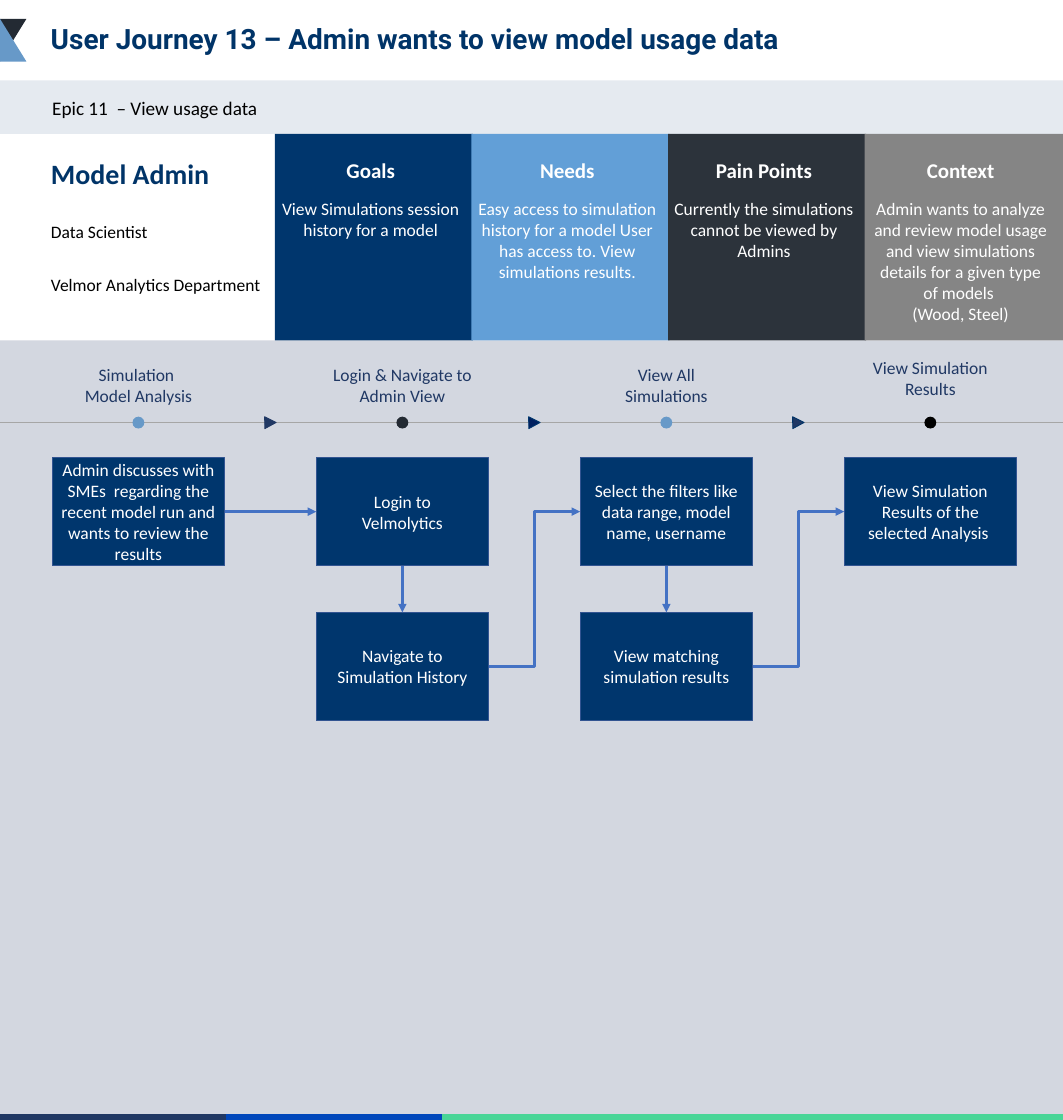
import pptx
import pptx.util
import pptx.dml.color
import pptx.enum.shapes
import pptx.enum.text
import pptx.oxml.ns
from lxml import etree

Cm, Pt = pptx.util.Cm, pptx.util.Pt
KIND = pptx.enum.shapes.MSO_SHAPE
LINK = pptx.enum.shapes.MSO_CONNECTOR
ALIGN = pptx.enum.text.PP_ALIGN
ANCHOR = pptx.enum.text.MSO_ANCHOR

INCH = 2.54
WIDE, HIGH = 16.9 * INCH, 17.8 * INCH
NAVY, INK, BLUE, DEEP = "00366D", "232A33", "6799C8", "203864"
WHITE, BLACK, TITLE = "FFFFFF", "000000", "003468"

HEAD = "User Journey 13 – Admin wants to view model usage data"
EPIC = "Epic 11  – View usage data"
ROLE = ["Model Admin", "Data Scientist", "Velmor Analytics Department"]
PANELS = [
    ("Goals", "View Simulations session history for a model", NAVY),
    ("Needs", "Easy access to simulation history for a model User "
     "has access to. View simulations results.", "629FD7"),
    ("Pain Points", "Currently the simulations cannot be viewed by Admins",
     "2C333B"),
    ("Context", "Admin wants to analyze and review model usage and view "
     "simulations details for a given type of models \v(Wood, Steel)",
     "858585"),
]
# label, label width, label top, dot colour, boxes from top to bottom
STAGES = [
    ("Simulation \vModel Analysis", 7.62, 14.58, BLUE,
     ["Admin discusses with SMEs  regarding the recent model run "
      "and wants to review the results"]),
    ("Login & Navigate to Admin View", 6.12, 14.58, INK,
     ["Login to\nVelmolytics", "Navigate to\nSimulation History"]),
    ("View All Simulations", 5.61, 14.58, BLUE,
     ["Select the filters like data range, model name, username",
      "View matching simulation results"]),
    ("View Simulation Results", 4.9, 14.3, BLACK,
     ["View Simulation Results of the selected Analysis "]),
]
MARKS = [(DEEP, DEEP), ("002060", NAVY), (DEEP, TITLE)]  # fill, line
STRIPES = [(0, 9.16, DEEP), (9.16, 17.85, "0047BB"), (17.85, WIDE, "48D597")]

PANEL_X, PANEL_W, PANEL_Y, PANEL_H = 11.1, 7.94, 5.41, 8.33
BOX_X, BOX_Y, BOX_W, BOX_H = 2.11, 18.47, 6.96, 4.37
STEP_X, STEP_Y, AXIS_Y = 10.66, 6.25, 17.06

deck = pptx.Presentation()
deck.slide_width, deck.slide_height = Cm(WIDE), Cm(HIGH)
page = deck.slides.add_slide(deck.slide_layouts[6])


def tint(hue):
    return pptx.dml.color.RGBColor.from_string(hue)


def draw(kind, x, y, w, h, fill, line=None):
    item = page.shapes.add_shape(kind, Cm(x), Cm(y), Cm(w), Cm(h))
    item.shadow.inherit = False
    item.fill.solid()
    item.fill.fore_color.rgb = tint(fill)
    if line:
        item.line.color.rgb = tint(line)
        item.line.width = Pt(1)
    else:
        item.line.fill.background()
    return item


def write(item, text, size, hue, bold=False, font="Calibri",
          align=ALIGN.CENTER, anchor=ANCHOR.TOP, side=0, edge=0):
    """Set text in a shape; side and edge are its inner margins in cm."""
    frame = item.text_frame
    frame.word_wrap = True
    frame.vertical_anchor = anchor
    frame.margin_left = frame.margin_right = Cm(side)
    frame.margin_top = frame.margin_bottom = Cm(edge)
    frame.text = text
    for para in frame.paragraphs:
        para.alignment = align
        for run in para.runs:
            run.font.name, run.font.size, run.font.bold = font, Pt(size), bold
            run.font.color.rgb = tint(hue)
    return frame


def label(x, y, w, h, *args, **opts):
    item = page.shapes.add_textbox(Cm(x), Cm(y), Cm(w), Cm(h))
    return write(item, *args, **opts)


def rule(kind, ends, hue, width):
    line = page.shapes.add_connector(kind, *[Cm(v) for v in ends])
    line.line.color.rgb = tint(hue)
    line.line.width = Pt(width)
    etree.SubElement(line._element.spPr, pptx.oxml.ns.qn("a:effectLst"))
    return line


def join(kind, start, out, stop, into):
    line = rule(kind, (0, 0, 1, 1), "4472C4", 3.25)
    line.begin_connect(start, out)
    line.end_connect(stop, into)
    tail = etree.SubElement(line.line._get_or_add_ln(),
                            pptx.oxml.ns.qn("a:tailEnd"))
    tail.set("type", "triangle")


# Bands, corner mark and foot stripes
base = PANEL_Y + PANEL_H
draw(KIND.RECTANGLE, 0, base, WIDE, HIGH - base, "D3D7E0")
draw(KIND.RECTANGLE, 0, 3.25, WIDE, PANEL_Y - 3.25, "E5EAF0")
flag = draw(KIND.RIGHT_TRIANGLE, 0, 0.76, 1.07, 1.73, INK)
flag._element.spPr.find(pptx.oxml.ns.qn("a:xfrm")).set("flipV", "1")
draw(KIND.RIGHT_TRIANGLE, 0, 0.76, 1.07, 1.73, BLUE)
for left, right, hue in STRIPES:
    draw(KIND.RECTANGLE, left, 44.98, right - left, HIGH - 44.98, hue, hue)

# Headings and role
title = label(1.8, 0.5, 33.7, 2.3, HEAD, 32, TITLE, bold=True, font="Roboto",
              align=ALIGN.LEFT, anchor=ANCHOR.MIDDLE, side=0.25, edge=0.13)
title.paragraphs[0].line_spacing = 0.9
label(BOX_X, 3.76, 38.6, 1.2, EPIC, 22, BLACK, align=ALIGN.LEFT, edge=0.13)
role = label(2.06, 6.17, 9.3, 6.07, "\n".join(ROLE), 20, BLACK,
             align=ALIGN.LEFT, edge=0.13)
for para in role.paragraphs:
    para.space_before, para.space_after = Pt(30.4), Pt(6)
name = role.paragraphs[0]
name.space_before = Pt(0)
name.runs[0].font.size, name.runs[0].font.bold = Pt(32), True
name.runs[0].font.color.rgb = tint(TITLE)

# Panels
for col, (head, body, hue) in enumerate(PANELS):
    x = PANEL_X + col * PANEL_W
    draw(KIND.RECTANGLE, x, PANEL_Y, min(8, WIDE - x), PANEL_H, hue)
    label(x + 0.25, 6.35, 7.24, 1.02, head, 24, WHITE, bold=True,
          anchor=ANCHOR.MIDDLE)
    label(x + 0.25, 7.98, 7.24, 5.1, body, 20, WHITE)

# Timeline and boxes
rule(LINK.STRAIGHT, (0, AXIS_Y, WIDE, AXIS_Y), "A6A6A6", 1.5)
grid = []
for col, (text, width, top, hue, steps) in enumerate(STAGES):
    x = BOX_X + col * STEP_X
    mid = x + BOX_W / 2
    label(mid - width / 2, top, width, 1.96, text, 20, DEEP, edge=0.13)
    draw(KIND.OVAL, mid - 0.24, AXIS_Y - 0.24, 0.48, 0.48, hue)
    if col < len(MARKS):
        mark = draw(KIND.ISOSCELES_TRIANGLE, mid + STEP_X / 2 - 0.24,
                    AXIS_Y - 0.23, 0.48, 0.46, *MARKS[col])
        mark.rotation = 89
    stack = []
    for row, step in enumerate(steps):
        box = draw(KIND.RECTANGLE, x, BOX_Y + row * STEP_Y, BOX_W, BOX_H,
                   NAVY, "325491")
        write(box, step, 20, WHITE, anchor=ANCHOR.MIDDLE,
              side=0.25 if col else 0, edge=0.13)
        stack.append(box)
    grid.append(stack)

# Arrows: down each column, then on to the next one
for stack in grid:
    for upper, lower in zip(stack, stack[1:]):
        join(LINK.STRAIGHT, upper, 2, lower, 0)
for stack, after in zip(grid, grid[1:]):
    kind = LINK.ELBOW if len(stack) > 1 else LINK.STRAIGHT
    join(kind, stack[-1], 3, after[0], 1)

deck.save("out.pptx")
